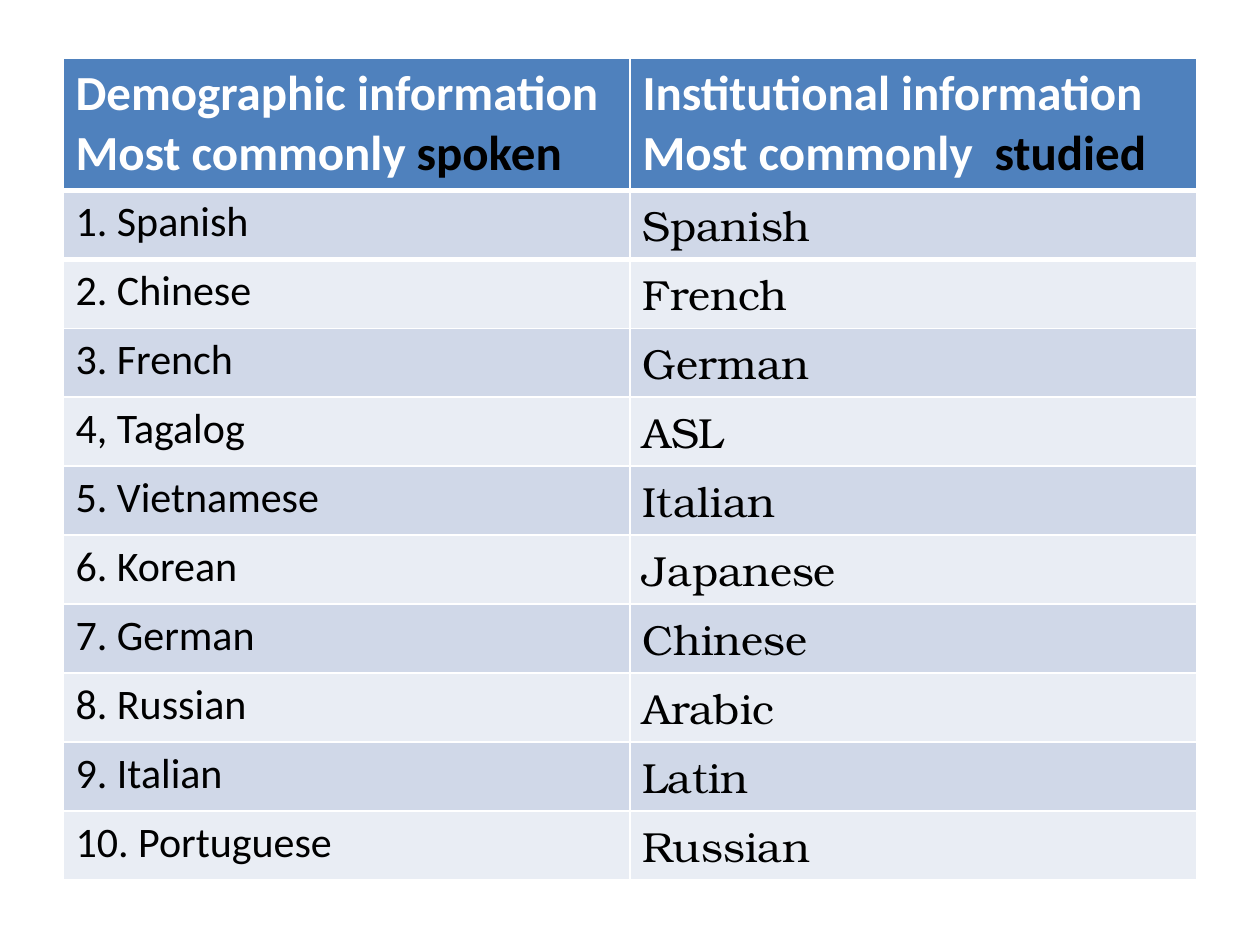
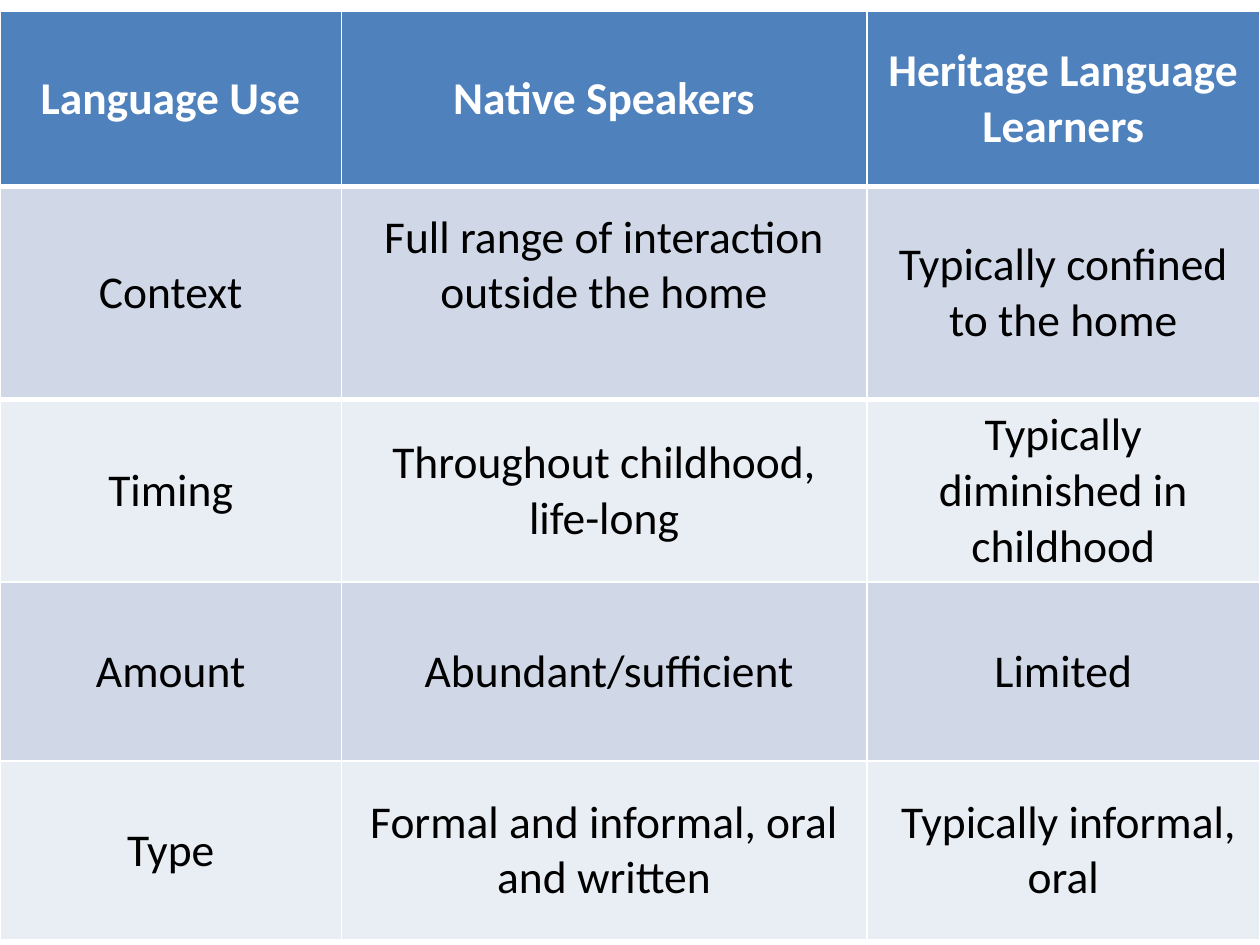
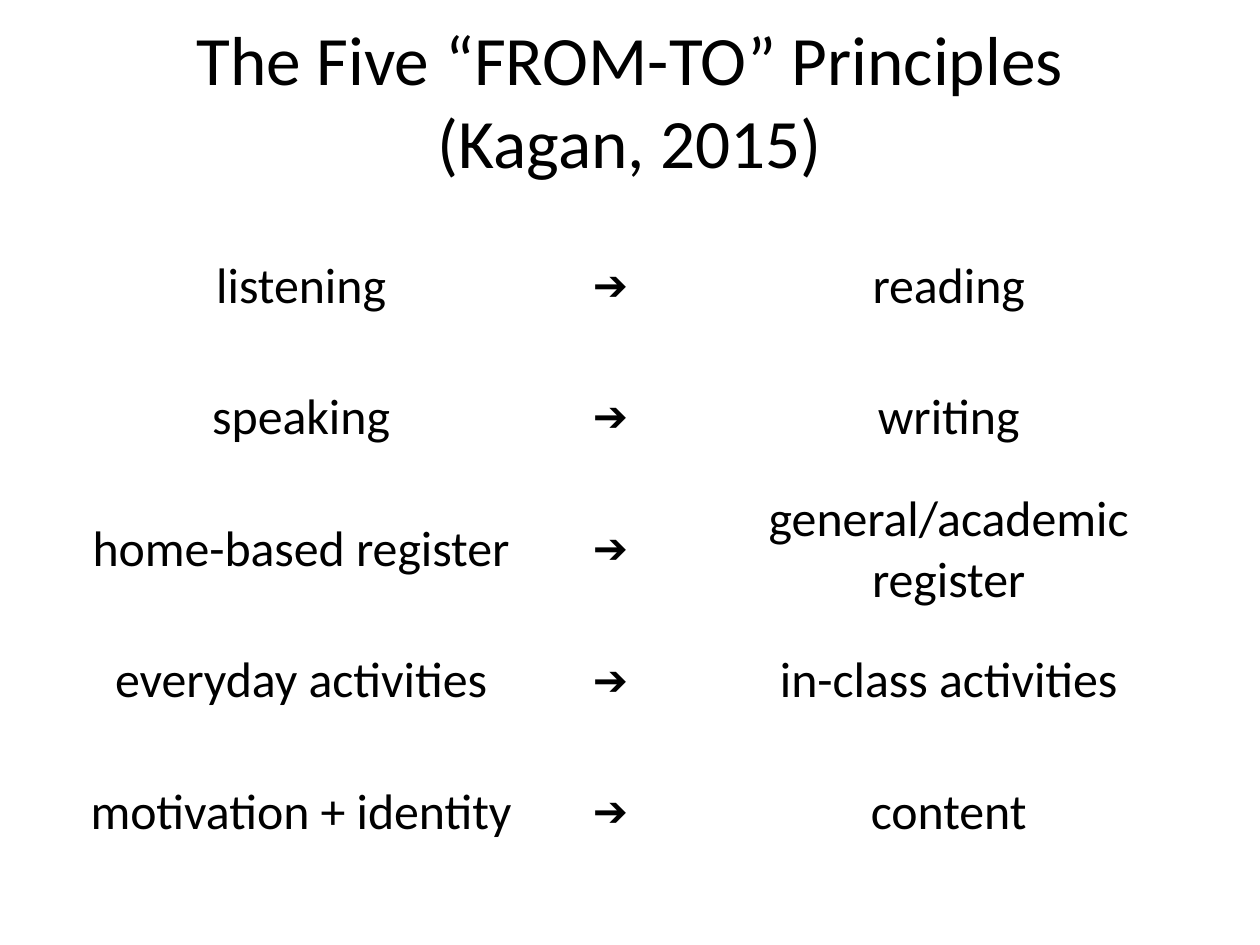
from lxml.etree import SubElement
from pptx import Presentation
from pptx.dml.color import RGBColor
from pptx.enum.text import MSO_ANCHOR as Anchor, PP_ALIGN as Align
from pptx.oxml.ns import qn
from pptx.util import Inches, Pt

BLUE = RGBColor(0x4F, 0x81, 0xBD)
BANDS = RGBColor(0xD0, 0xD8, 0xE8), RGBColor(0xE9, 0xED, 0xF4)
WHITE = RGBColor(0xFF, 0xFF, 0xFF)
BLACK = RGBColor(0, 0, 0)
SANS, SERIF = "Calibri", "TeX Gyre Bonum"
WIDE, HIGH = 10, 7.5
EDGE = 0.5

# Each heading: first line, start of second line, stressed word
HEADS = [
    ("Demographic information", "Most commonly ", "spoken"),
    ("Institutional information", "Most commonly  ", "studied"),
]
RANKS = [
    ("1. Spanish", "Spanish"),
    ("2. Chinese", "French"),
    ("3. French", "German"),
    ("4, Tagalog", "ASL"),
    ("5. Vietnamese", "Italian"),
    ("6. Korean", "Japanese"),
    ("7. German", "Chinese"),
    ("8. Russian", "Arabic"),
    ("9. Italian", "Latin"),
    ("10. Portuguese", "Russian"),
]
USES = [
    ("Language Use", "Native Speakers", "Heritage Language Learners"),
    ("Context", "Full range of interaction outside the home",
     "Typically confined to the home"),
    ("Timing", "Throughout childhood, life-long",
     "Typically diminished in childhood"),
    ("Amount", " Abundant/sufficient", "Limited"),
    ("Type", "Formal and informal, oral and written",
     " Typically informal, oral"),
]
TITLE = "The Five “FROM-TO” Principles\n(Kagan, 2015)"
ARROW = "➔"
MOVES = [
    ("listening", "reading"),
    ("speaking", "writing"),
    ("home-based register", "general/academic register"),
    ("everyday activities", "in-class activities"),
    ("motivation + identity", "content"),
]


def write(frame, *lines, size, color=BLACK, bold=False, font=SANS,
          align=Align.LEFT):
    """Write one paragraph a line; a line is a text or a list of (text, color)."""
    for n, line in enumerate(lines):
        para = frame.paragraphs[0] if n == 0 else frame.add_paragraph()
        para.alignment = align
        for text, tint in [(line, color)] if isinstance(line, str) else line:
            for k, part in enumerate(text.split("\n")):
                if k:
                    para.add_line_break()
                run = para.add_run()
                run.text = part
                face = run.font
                face.name, face.size, face.bold = font, Pt(size), bold
                face.color.rgb = tint


def rule(cell, side, width):
    """Draw a white border on one side of a cell; call before filling it."""
    line = SubElement(cell._tc.get_or_add_tcPr(), qn(f"a:ln{side}"),
                      w=str(Pt(width)))
    fill = SubElement(line, qn("a:solidFill"))
    SubElement(fill, qn("a:srgbClr"), val=str(WHITE))


def add_grid(slide, left, top, cols, rows, banded=True):
    """Add a table with the given column widths and row heights."""
    box = [Inches(v) for v in (left, top, sum(cols), sum(rows))]
    grid = slide.shapes.add_table(len(rows), len(cols), *box).table
    grid.first_row = grid.horz_banding = banded
    for col, width in zip(grid.columns, cols):
        col.width = Inches(width)
    for r, (row, height) in enumerate(zip(grid.rows, rows)):
        row.height = Inches(height)
        for cell in row.cells:
            if not banded:
                cell.fill.background()
                continue
            if r < 2:
                rule(cell, "T" if r else "B", 3)
            cell.fill.solid()
            cell.fill.fore_color.rgb = BANDS[(r - 1) % 2] if r else BLUE
    return grid


def rank_slide(slide):
    head, total = 1.04, 6.51
    each = (total - head) / len(RANKS)
    cols = [(WIDE - 2 * EDGE) / 2] * 2
    grid = add_grid(slide, EDGE, 0.46, cols, [head] + [each] * len(RANKS))
    for c, (first, start, word) in enumerate(HEADS):
        write(grid.cell(0, c).text_frame, first,
              [(start, WHITE), (word, BLACK)],
              size=28, color=WHITE, bold=True)
    for r, pair in enumerate(RANKS, 1):
        for c, (text, font) in enumerate(zip(pair, (SANS, SERIF))):
            write(grid.cell(r, c).text_frame, text, size=24, font=font)


def use_slide(slide):
    grid = add_grid(slide, 0, 0.09, [2.71, 4.17, 3.12],
                    [1.39, 1.69, 1.45, 1.42, 1.42])
    for r, row in enumerate(USES):
        for c, text in enumerate(row):
            cell = grid.cell(r, c)
            cell.vertical_anchor = Anchor.MIDDLE
            write(cell.text_frame, text, size=26, bold=r == 0,
                  color=BLACK if r else WHITE, align=Align.CENTER)
    grid.cell(1, 1).margin_bottom = Inches(0.49)


def move_slide(slide):
    box = [Inches(v) for v in (EDGE, 0.18, WIDE - 2 * EDGE, 1.22)]
    frame = slide.shapes.add_textbox(*box).text_frame
    frame.word_wrap = True
    frame.vertical_anchor = Anchor.MIDDLE
    write(frame, TITLE, size=39.6, align=Align.CENTER)

    each = 5.21 / len(MOVES)
    grid = add_grid(slide, EDGE, 1.75, [3.78, 1.13, 4.24],
                    [each] * len(MOVES), banded=False)
    for r, (start, goal) in enumerate(MOVES):
        for c, text in enumerate((start, ARROW, goal)):
            cell = grid.cell(r, c)
            cell.vertical_anchor = Anchor.MIDDLE
            mark = text == ARROW
            write(cell.text_frame, text, size=24 if mark else 28.5,
                  bold=mark, align=Align.CENTER)


def main():
    deck = Presentation()
    deck.slide_width, deck.slide_height = Inches(WIDE), Inches(HIGH)
    for build in (rank_slide, use_slide, move_slide):
        build(deck.slides.add_slide(deck.slide_layouts[6]))
    deck.save("out.pptx")


if __name__ == "__main__":
    main()
